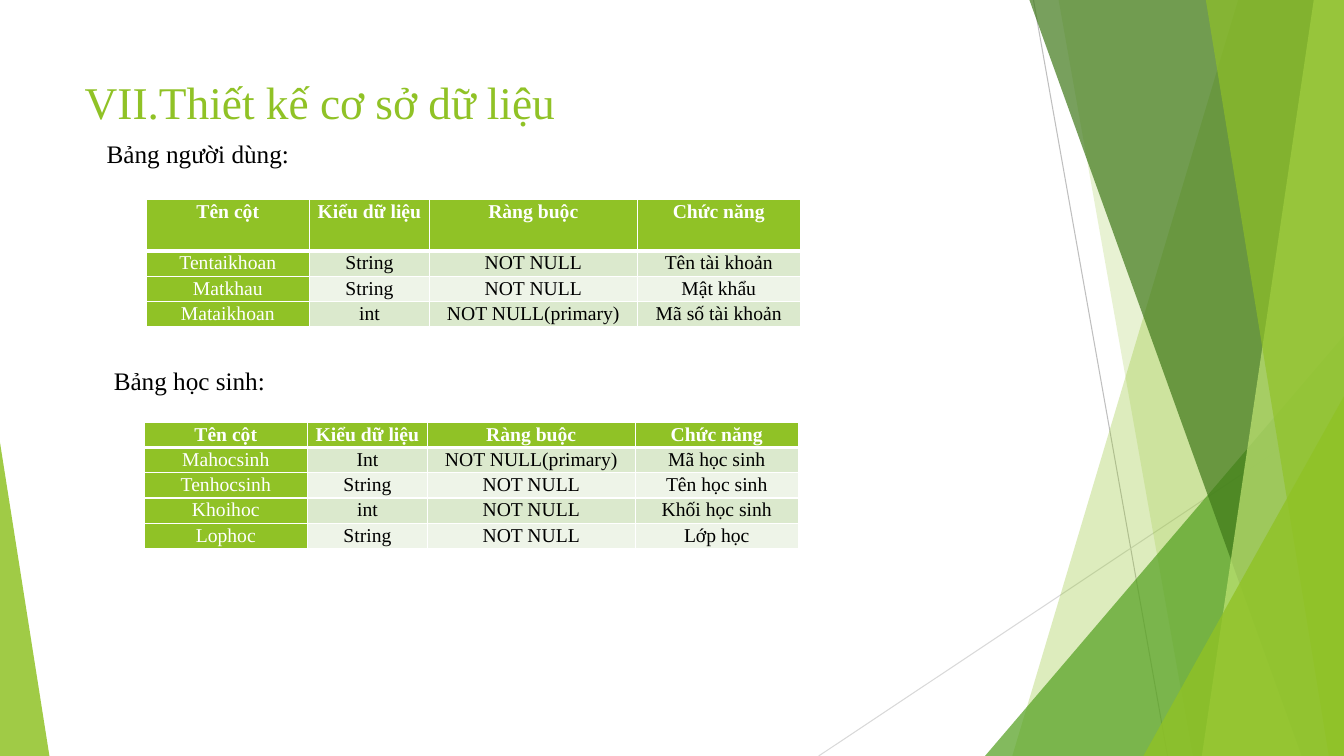
from lxml.etree import SubElement
from pptx import Presentation
from pptx.dml.color import RGBColor
from pptx.enum.shapes import MSO_CONNECTOR, MSO_SHAPE
from pptx.enum.text import MSO_ANCHOR, MSO_AUTO_SIZE, PP_ALIGN
from pptx.oxml.ns import qn
from pptx.util import Inches, Pt

FONT = "Times New Roman"
WHITE = RGBColor(0xFF, 0xFF, 0xFF)
BLACK = RGBColor(0x00, 0x00, 0x00)
LIME = RGBColor(0x90, 0xC2, 0x26)
PALE_LIME = RGBColor(0xC0, 0xE4, 0x74)
GREEN = RGBColor(0x54, 0xA0, 0x21)
DARK_GREEN = RGBColor(0x3F, 0x78, 0x19)
BAND_DARK = RGBColor(0xDB, 0xE9, 0xCD)
BAND_LIGHT = RGBColor(0xEE, 0xF4, 0xE8)
GRAY = RGBColor(0xBF, 0xBF, 0xBF)
LIGHT_GRAY = RGBColor(0xD9, 0xD9, 0xD9)

COLUMN_WIDTHS = [1.62, 1.19, 2.06, 1.62]
ROW_HEIGHT = 0.25
HEADER = ["Tên cột", "Kiểu dữ liệu", "Ràng buộc", "Chức năng"]
USER_ROWS = [
    ["Tentaikhoan", "String", "NOT NULL", "Tên tài khoản"],
    ["Matkhau", "String", "NOT NULL", "Mật khẩu"],
    ["Mataikhoan", "int", "NOT NULL(primary)", "Mã số tài khoản"],
]
STUDENT_ROWS = [
    ["Mahocsinh", "Int", "NOT NULL(primary)", "Mã học sinh"],
    ["Tenhocsinh", "String", "NOT NULL", "Tên học sinh"],
    ["Khoihoc", "int", "NOT NULL", "Khối học sinh"],
    ["Lophoc", "String", "NOT NULL", "Lớp học"],
]


def set_attributes(target, values):
    for name, value in values.items():
        setattr(target, name, value)


class SlideBuilder:
    def __init__(self, s):
        self.s = s

    def add_text(self, tf, text, size, color, bold=False):
        p = tf.paragraphs[0]
        r = p.add_run()
        r.text = text
        set_attributes(r.font, {"name": FONT, "size": Pt(size), "bold": bold})
        r.font.color.rgb = color
        return p

    def paint(self, sp, color, opacity):
        sp.shadow.inherit = False
        sp.fill.solid()
        sp.fill.fore_color.rgb = color
        sp.line.fill.background()
        clr = sp._element.spPr.find(qn("a:solidFill"))[0]
        SubElement(clr, qn("a:alpha"), val=str(opacity * 1000))

    def title(self, text, left, top, width, height):
        sp = self.s.shapes.title
        box = map(Inches, (left, top, width, height))
        set_attributes(sp, dict(zip(("left", "top", "width", "height"), box)))
        tf = sp.text_frame
        set_attributes(tf, {"word_wrap": True, "auto_size": MSO_AUTO_SIZE.NONE,
                            "vertical_anchor": MSO_ANCHOR.BOTTOM})
        self.add_text(tf, text, 32.4, LIME).alignment = PP_ALIGN.LEFT

    def label(self, text, left, top, width, height=0.4):
        sp = self.s.shapes.add_textbox(*map(Inches, (left, top, width, height)))
        tf = sp.text_frame
        set_attributes(tf, {"word_wrap": False,
                            "auto_size": MSO_AUTO_SIZE.SHAPE_TO_FIT_TEXT})
        self.add_text(tf, text, 18, BLACK)

    def line(self, x1, y1, x2, y2, color):
        sp = self.s.shapes.add_connector(MSO_CONNECTOR.STRAIGHT,
                                         *map(Inches, (x1, y1, x2, y2)))
        sp.line.color.rgb = color
        sp.line.width = Pt(0.75)
        SubElement(sp._element.spPr, qn("a:effectLst"))

    def facet(self, top_x, bottom_x, color, opacity):
        right, bottom = prs.slide_width, prs.slide_height
        builder = self.s.shapes.build_freeform(Inches(top_x), 0)
        builder.add_line_segments([(right, 0), (right, bottom),
                                   (Inches(bottom_x), bottom)], close=True)
        self.paint(builder.convert_to_shape(), color, opacity)

    def triangle(self, left, top, width, apex, color, opacity):
        sp = self.s.shapes.add_shape(
            MSO_SHAPE.ISOSCELES_TRIANGLE,
            *map(Inches, (left, top, width, 7.5 - top)))
        sp.adjustments[0] = apex
        self.paint(sp, color, opacity)

    def borders(self, cell, row):
        widths = {"lnL": 1, "lnR": 1, "lnT": 3 if row == 1 else 1,
                  "lnB": 3 if row == 0 else 1}
        tc_pr = cell._tc.get_or_add_tcPr()
        for side, width in widths.items():
            ln = SubElement(tc_pr, qn("a:" + side), w=str(int(Pt(width))))
            fill = SubElement(ln, qn("a:solidFill"))
            SubElement(fill, qn("a:srgbClr"), val=str(WHITE))

    def table(self, rows, left, top, header_height=ROW_HEIGHT):
        height = header_height + ROW_HEIGHT * len(rows)
        box = map(Inches, (left, top, sum(COLUMN_WIDTHS), height))
        table = self.s.shapes.add_table(len(rows) + 1, len(HEADER), *box).table
        for column, width in zip(table.columns, COLUMN_WIDTHS):
            column.width = Inches(width)
        for i, texts in enumerate([HEADER] + rows):
            table.rows[i].height = Inches(ROW_HEIGHT if i else header_height)
            for j, text in enumerate(texts):
                cell = table.cell(i, j)
                accent = i == 0 or j == 0
                set_attributes(cell, {
                    "margin_left": Inches(0.07), "margin_right": Inches(0.07),
                    "margin_top": 0, "margin_bottom": 0})
                self.borders(cell, i)
                cell.fill.solid()
                band = BAND_DARK if i % 2 else BAND_LIGHT
                cell.fill.fore_color.rgb = LIME if accent else band
                p = self.add_text(cell.text_frame, text, 14,
                                  WHITE if accent else BLACK, i == 0)
                set_attributes(p, {"alignment": PP_ALIGN.CENTER,
                                   "line_spacing": 1.07})


prs = Presentation()
prs.slide_width = Inches(13.33)
prs.slide_height = Inches(7.5)
slide = SlideBuilder(prs.slides.add_slide(prs.slide_layouts[5]))

slide.line(10.25, 0, 11.58, 7.5, GRAY)
slide.line(13.33, 4.03, 8.12, 7.5, LIGHT_GRAY)
slide.facet(12.28, 10.04, LIME, 30)
slide.facet(10.5, 11.83, LIME, 20)
slide.triangle(9.77, 3.33, 3.56, 1, GREEN, 72)
slide.facet(10.21, 12.91, DARK_GREEN, 70)
slide.facet(13.03, 11.92, PALE_LIME, 70)
slide.facet(11.96, 13.18, LIME, 65)
slide.triangle(11.34, 3.93, 1.99, 1, LIME, 80)
slide.triangle(0, 4.39, 0.49, 0, LIME, 85)

slide.title("VII.Thiết kế cơ sở dữ liệu", 0.74, 0.67, 9.4, 0.66)
slide.label("Bảng người dùng:", 0.96, 1.32, 2.03)
slide.table(USER_ROWS, 1.45, 1.98, header_height=0.51)
slide.label("Bảng học sinh:", 1.03, 3.58, 1.72)
slide.table(STUDENT_ROWS, 1.43, 4.19)

prs.save("out.pptx")
